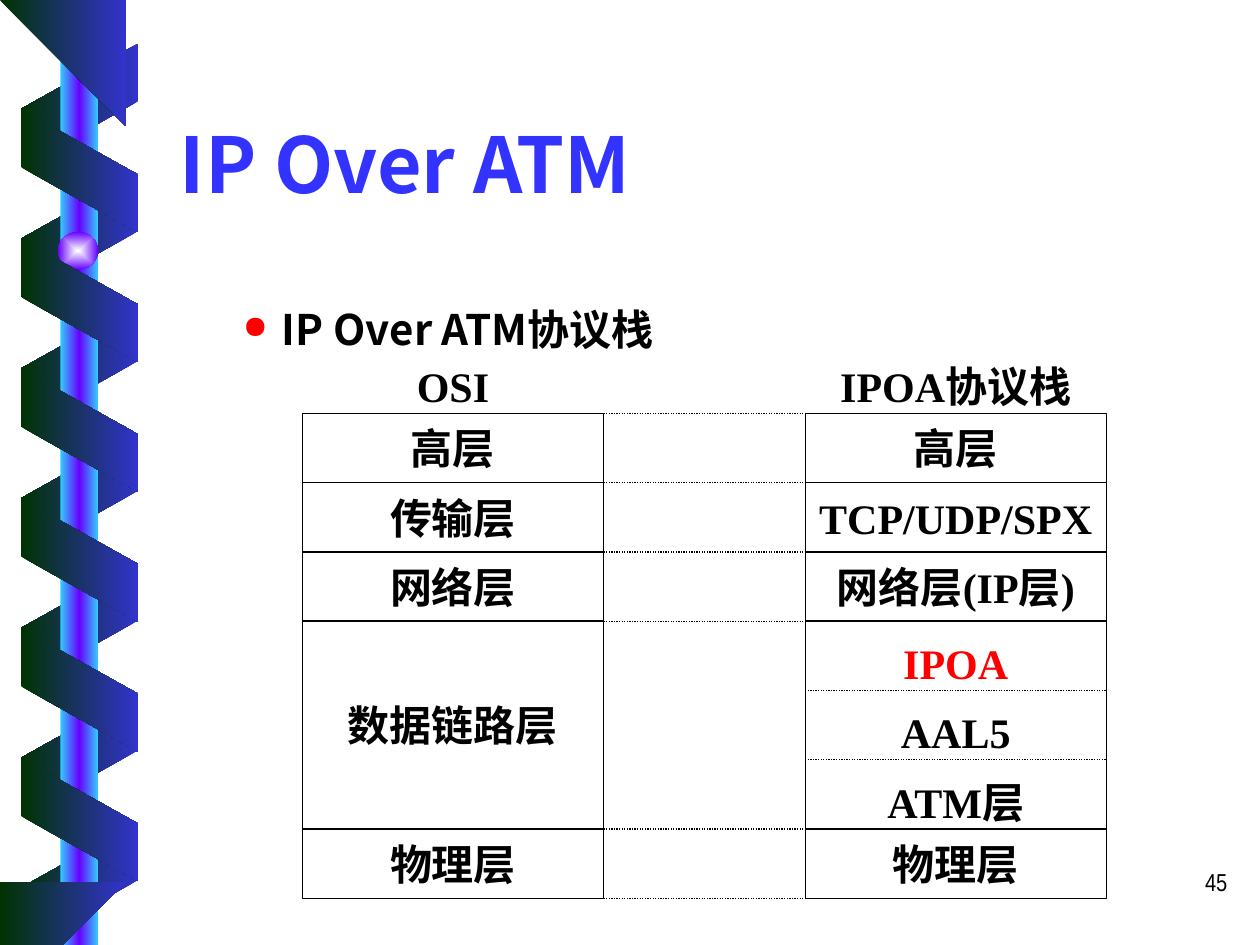
from lxml import etree
from pptx import Presentation
from pptx.dml.color import RGBColor
from pptx.enum.dml import MSO_LINE_DASH_STYLE as Dash
from pptx.enum.shapes import MSO_CONNECTOR as Conn, MSO_SHAPE as Kind
from pptx.enum.text import MSO_ANCHOR as Anchor, MSO_AUTO_SIZE as Size, PP_ALIGN as Align
from pptx.oxml import parse_xml
from pptx.oxml.ns import nsdecls, qn
from pptx.util import Inches, Pt

HUES = {"black": "000000", "red": "FF0000", "title": "3333FF", "green": "003300",
        "blue": "3333CC", "sky": "33CCFF", "violet": "6600FF", "white": "FEFFFF"}
SANS, SERIF = "Noto Sans CJK SC", "Times New Roman"

# Layer name and the number of rows it spans; None is split into sublayers
STACKS = [
    (2.4, "OSI", [("高层", 1), ("传输层", 1), ("网络层", 1), ("数据链路层", 3), ("物理层", 1)]),
    (6.39, "IPOA协议栈", [("高层", 1), ("TCP/UDP/SPX", 1), ("网络层(IP层)", 1),
                       (None, 3), ("物理层", 1)]),
]
SUBS = [("IPOA", "red", 1.25), ("AAL5", "black", 1.25), ("ATM层", "black", 1.48)]
LINKS = [0, 1, 2, 3, 6, 7]
TOP, ROW, WIDE, SPLIT = 3.28, 0.55, 2.39, 3
LABEL = 0.4

STRIP = (0.98, 0.93)
TURN = 1.03
STRIP_X = 0.14
BAR = [(10, 1.86), (0.76, 1.86), (0.6, 2), (0.76, 2.14), (10, 2.14)]
ENDS = [
    [(0.17, 0), (0.17, 0.29), (1.09, 0.81), (1.09, 0.35), (0.47, 0)],
    [(0.96, 7.49), (0.17, 7.05), (0.16, 7.5)],
]
SHEEN = ["sky", "violet", "sky"]
FRONT = ["green", "blue"]

deck = Presentation()
deck.slide_width, deck.slide_height = Inches(10), Inches(7.5)
slide = deck.slides.add_slide(deck.slide_layouts[6])
shapes = slide.shapes


def shade(shape, hues, angle=0, radial=False):
    """Fill with evenly spaced gradient stops that stay level when the shape turns."""
    shape.shadow.inherit = False
    shape.line.fill.background()
    shape.fill.background()
    stops = "".join(
        f'<a:gs pos="{100000 * i // (len(hues) - 1)}"><a:srgbClr val="{HUES[h]}"/></a:gs>'
        for i, h in enumerate(hues))
    way = f'<a:lin ang="{angle * 60000}" scaled="0"/>'
    if radial:
        way = '<a:path path="rect"><a:fillToRect l="50000" t="50000" r="50000" b="50000"/></a:path>'
    props = shape._element.spPr
    props.replace(props.find(qn("a:noFill")), parse_xml(
        f'<a:gradFill rotWithShape="0" {nsdecls("a")}><a:gsLst>{stops}</a:gsLst>{way}</a:gradFill>'))


def block(kind, x, y, w, h):
    return shapes.add_shape(kind, *map(Inches, (x, y, w, h)))


def outline(points):
    pen = shapes.build_freeform(*points[0], scale=Inches(1))
    pen.add_line_segments(points[1:], close=True)
    return pen.convert_to_shape()


def strip(y, turn, hues, flip=False):
    shape = block(Kind.PARALLELOGRAM, STRIP_X, y, *STRIP)
    shape.adjustments[0] = 0.56
    shape.rotation = turn
    if flip:
        shape._element.spPr.xfrm.set("flipH", "1")
    shade(shape, hues)


def write(shape, text, hue="black", font=SERIF, size=24, bold=True,
          align=Align.CENTER, pad=(0, 0), bullet=False, **frame):
    box = shape.text_frame
    box.margin_left = box.margin_right = Inches(pad[0])
    box.margin_top = box.margin_bottom = Inches(pad[1])
    look = {"word_wrap": True, "vertical_anchor": Anchor.MIDDLE, **frame}
    for key, value in look.items():
        setattr(box, key, value)
    para = box.paragraphs[0]
    para.alignment = align
    if bullet:
        para.line_spacing = 1.3
        props = para._p.get_or_add_pPr()
        props.set("marL", str(Inches(0.81)))
        props.set("indent", str(Inches(-0.31)))
        color = etree.SubElement(props, qn("a:buClr"))
        etree.SubElement(color, qn("a:srgbClr"), val=HUES["red"])
        etree.SubElement(props, qn("a:buSzPct"), val="75000")
        etree.SubElement(props, qn("a:buChar"), char="●")
    run = para.add_run()
    run.text = text
    for key, value in {"name": font, "size": Pt(size), "bold": bold}.items():
        setattr(run.font, key, value)
    run.font.color.rgb = RGBColor.from_string(HUES[hue])
    etree.SubElement(run._r.get_or_add_rPr(), qn("a:ea"), typeface=SANS)


def label(x, y, w, h, text, **form):
    write(shapes.add_textbox(*map(Inches, (x, y, w, h))), text, **form)


def dots(left, right, y):
    line = shapes.add_connector(Conn.STRAIGHT, *map(Inches, (left, y, right, y)))
    line.line.color.rgb = RGBColor.from_string(HUES["black"])
    line.line.width = Pt(0.75)
    line.line.dash_style = Dash.ROUND_DOT
    etree.SubElement(line._element.spPr, qn("a:effectLst"))


# Ribbon wound around the pole, with the bar and its ball
for i in range(7):
    strip(0.37 + TURN * i, 90, FRONT[::-1], flip=True)
shade(block(Kind.RECTANGLE, 0.48, 0, 0.3, 7.5), SHEEN)
shade(outline(BAR), SHEEN, angle=90)
shade(block(Kind.OVAL, 0.46, 1.84, 0.32, 0.3), ["white", "violet"], radial=True)
for i in range(6):
    strip(0.89 + TURN * i, 270, FRONT)
for points in ENDS:
    shade(outline(points), FRONT)

# Page number, title and bullet
SIDE = {"pad": (0.1, 0.05), "vertical_anchor": Anchor.TOP}
label(7.76, 6.83, 2.08, 0.5, "45", font="Arial Narrow", size=14, bold=False,
      align=Align.RIGHT, **SIDE)
label(1.33, 0.46, 8.5, 1.25, "IP Over ATM", hue="title", font=SANS, size=44,
      align=Align.LEFT, **{**SIDE, "vertical_anchor": Anchor.BOTTOM})
label(1.33, 2.24, 8.5, 0.68, "IP Over ATM协议栈", font=SANS, align=Align.LEFT,
      bullet=True, **SIDE)

# The two protocol stacks
for x, head, layers in STACKS:
    label(x, TOP - 0.42, WIDE, LABEL, head, auto_size=Size.SHAPE_TO_FIT_TEXT)
    row = 0
    for name, span in layers:
        cell = block(Kind.RECTANGLE, x, TOP + ROW * row, WIDE, ROW * span)
        cell.shadow.inherit = False
        cell.fill.background()
        cell.line.color.rgb = RGBColor.from_string(HUES["black"])
        cell.line.width = Pt(0.75)
        if name:
            write(cell, name, word_wrap=False)
        row += span

# Sublayers of the right stack, then the dotted links between the stacks
left, right = (stack[0] for stack in STACKS)
for i, (name, hue, w) in enumerate(SUBS):
    y = TOP + ROW * (SPLIT + i)
    if i:
        dots(right, right + WIDE, y)
    label(right + (WIDE - w) / 2, y + 0.13, w, LABEL, name, hue=hue,
          auto_size=Size.SHAPE_TO_FIT_TEXT)
for row in LINKS:
    dots(left + WIDE, right, TOP + ROW * row)

deck.save("out.pptx")
